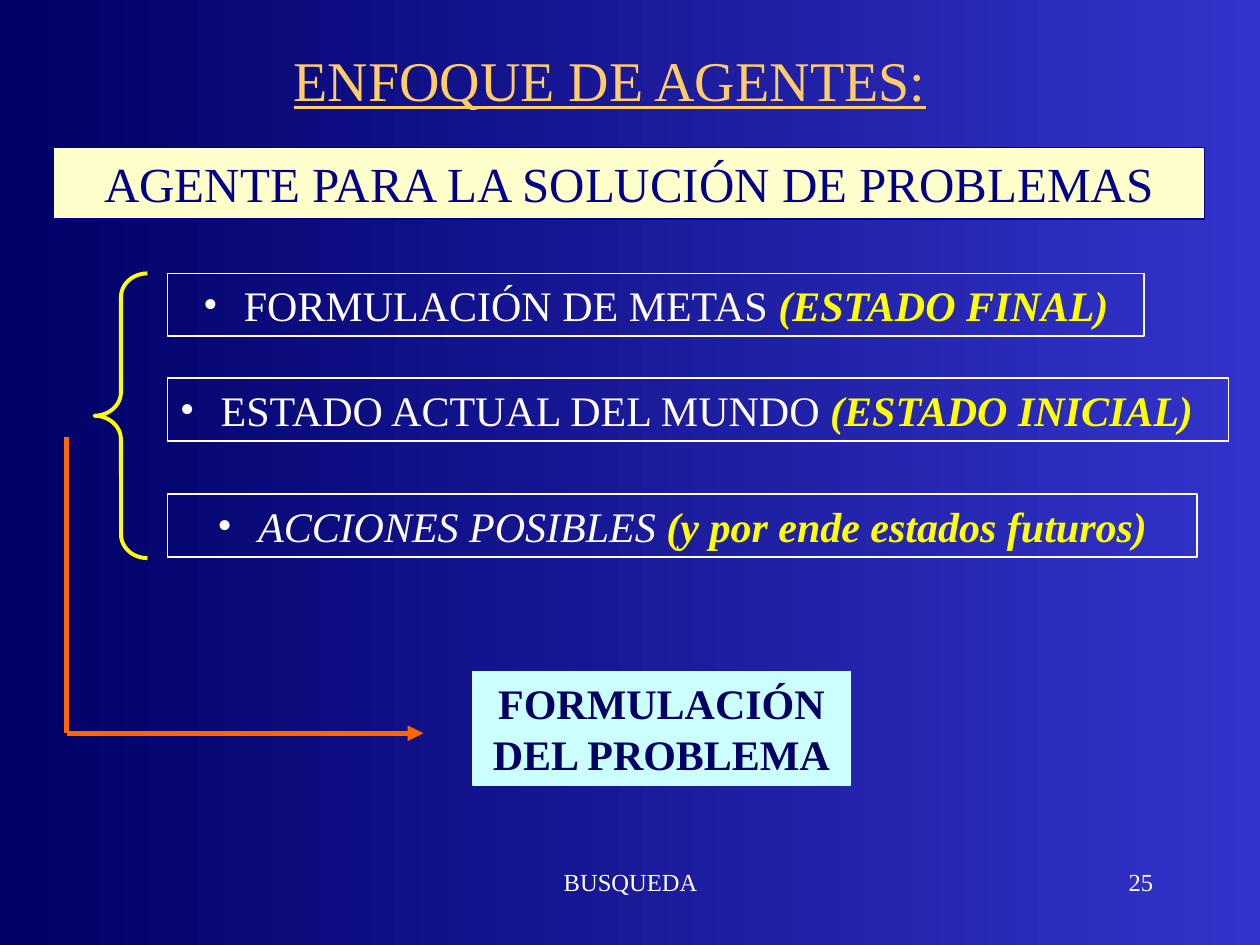
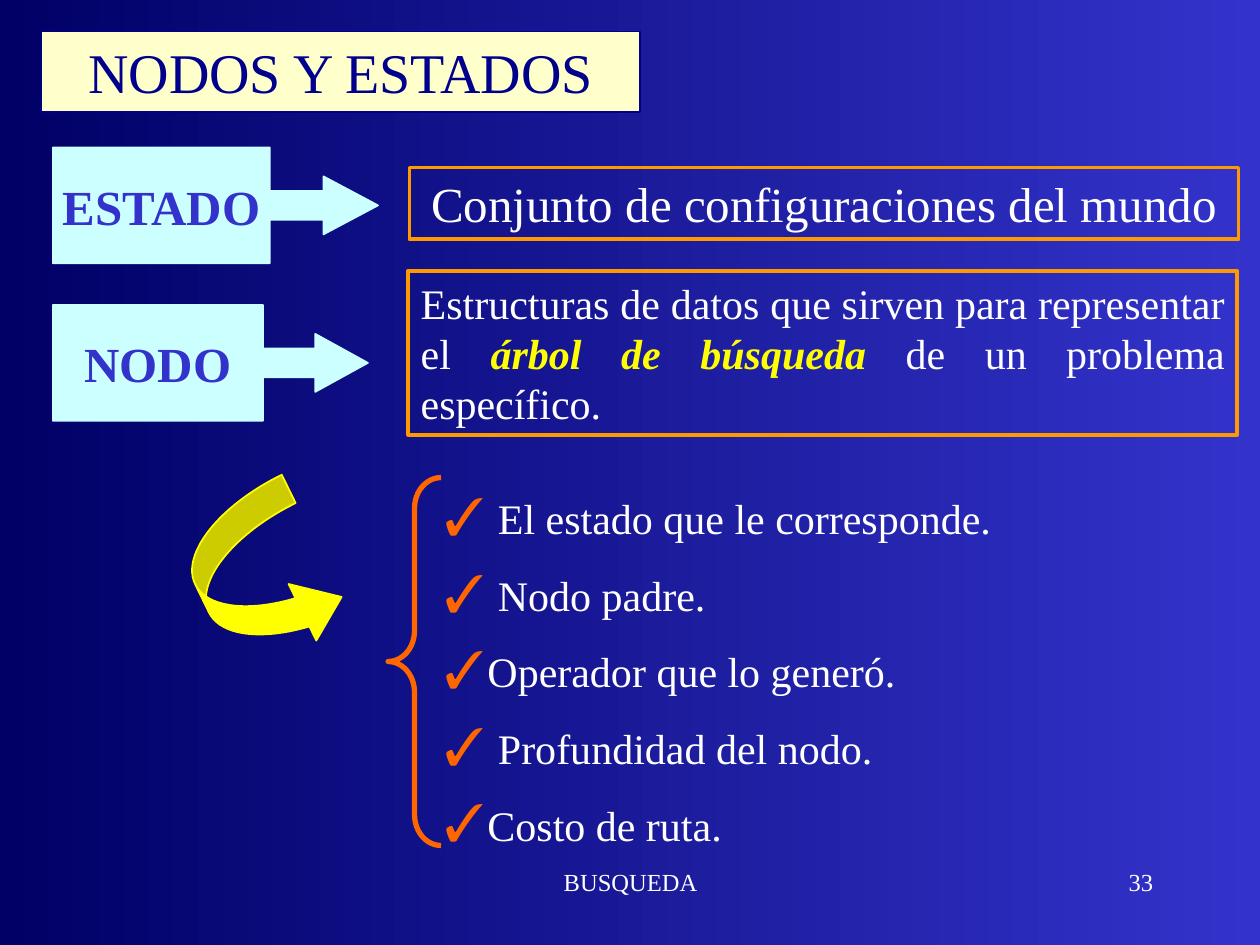
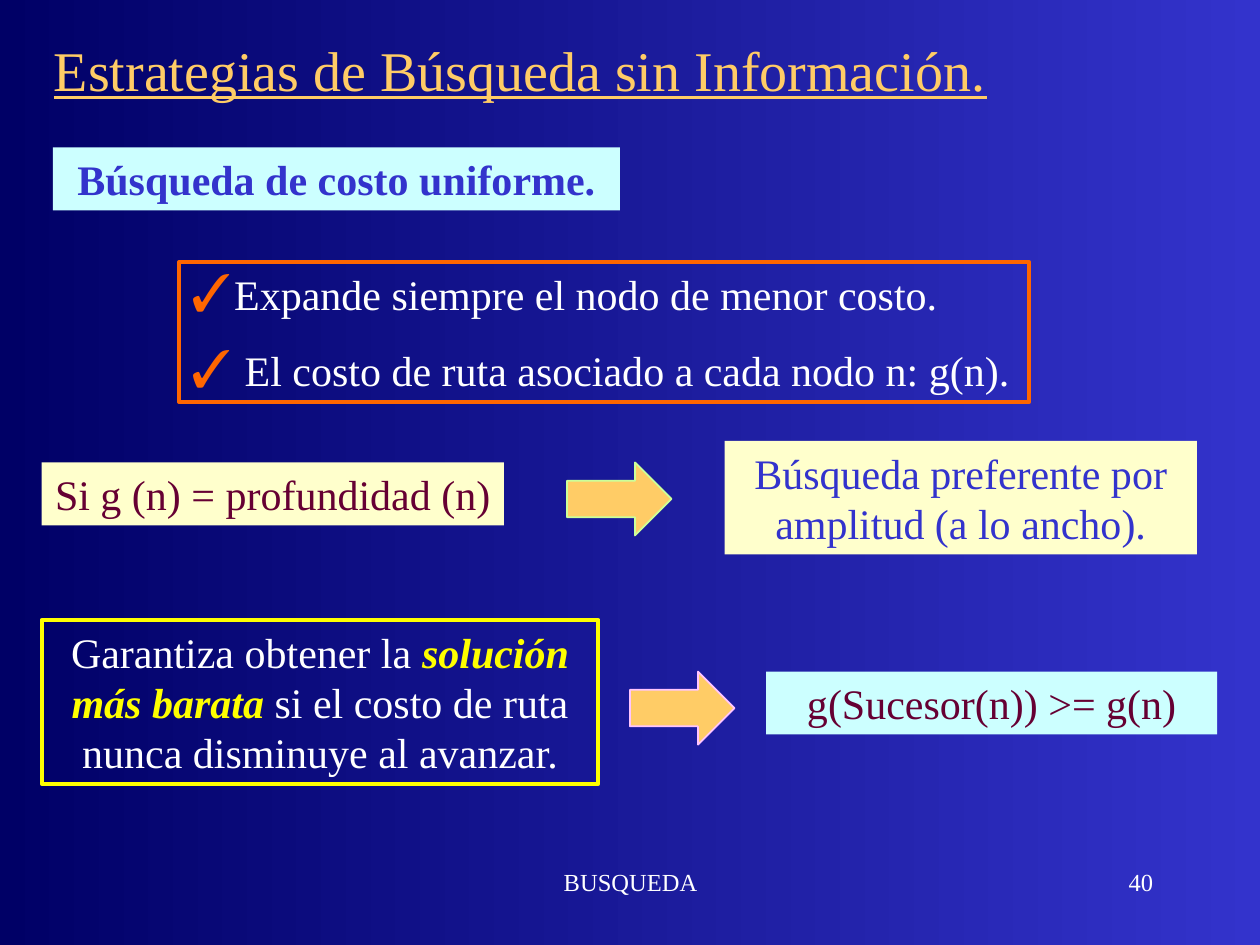
from dataclasses import dataclass
from typing import NamedTuple, Optional

from lxml.etree import SubElement
from pptx import Presentation
from pptx.dml.color import RGBColor
from pptx.enum.shapes import MSO_CONNECTOR, MSO_SHAPE
from pptx.enum.text import MSO_ANCHOR, PP_ALIGN
from pptx.oxml.ns import qn
from pptx.util import Inches, Pt

FONT = "Times New Roman"
BLUE = RGBColor(0x33, 0x33, 0xCC)
NAVY = RGBColor(0x00, 0x00, 0x66)
INK = RGBColor(0x00, 0x00, 0x8C)
CREAM = RGBColor(0xFF, 0xFF, 0xCC)
CYAN = RGBColor(0xCC, 0xFF, 0xFF)
GOLD = RGBColor(0xFF, 0xCC, 0x66)
WHITE = RGBColor(0xFF, 0xFF, 0xFF)
YELLOW = RGBColor(0xFF, 0xFF, 0x00)
ORANGE = RGBColor(0xFF, 0x66, 0x00)
AMBER = RGBColor(0xFF, 0x99, 0x00)
WINE = RGBColor(0x66, 0x00, 0x33)
LIME = RGBColor(0xCC, 0xFF, 0x99)
PINK = RGBColor(0xFF, 0xC5, 0xFF)


class Area(NamedTuple):
    left: float
    top: float
    width: float
    height: float

    def lengths(self):
        return [Inches(v) for v in self]


class Span(NamedTuple):
    text: str
    color: Optional[RGBColor] = None
    bold: bool = False
    italic: bool = False


class Bullet(NamedTuple):
    char: str
    color: RGBColor
    percent: int
    hang: float


@dataclass
class Box:
    area: Area
    paragraphs: list
    fill: Optional[RGBColor] = None
    line: Optional[RGBColor] = None
    weight: float = 1
    color: RGBColor = WHITE
    size: float = 24
    bold: bool = False
    align: PP_ALIGN = PP_ALIGN.CENTER
    bullet: Optional[Bullet] = None


DOT = Bullet("•", WHITE, 100, 0.24)
CHECK = Bullet("✓", ORANGE, 125, 0.34)


def key(text: str) -> Span:
    return Span(text, YELLOW, True, True)


def add_bullet(p, bullet: Bullet) -> None:
    pPr = p._p.get_or_add_pPr()
    pPr.set("marL", str(Inches(bullet.hang)))
    pPr.set("indent", str(-Inches(bullet.hang)))
    color = SubElement(pPr, qn("a:buClr"))
    SubElement(color, qn("a:srgbClr"), val=str(bullet.color))
    SubElement(pPr, qn("a:buSzPct"), val=str(bullet.percent * 1000))
    SubElement(pPr, qn("a:buFont"), typeface=FONT)
    SubElement(pPr, qn("a:buChar"), char=bullet.char)


def write(tf, paragraphs: list, *, size=24, color=WHITE, bold=False, underline=False,
          align=PP_ALIGN.CENTER, anchor=MSO_ANCHOR.TOP, wrap=True, bullet=None) -> None:
    tf.word_wrap = wrap
    tf.vertical_anchor = anchor
    for i, spans in enumerate(paragraphs):
        p = tf.add_paragraph() if i else tf.paragraphs[0]
        p.alignment = align
        if i:
            p.space_before = Pt(15)
        if bullet:
            add_bullet(p, bullet)
        for span in [Span(spans)] if isinstance(spans, str) else spans:
            r = p.add_run()
            r.text = span.text
            r.font.name = FONT
            r.font.size = Pt(size)
            r.font.bold = bold or span.bold
            r.font.italic = span.italic
            r.font.underline = underline
            r.font.color.rgb = span.color or color


def add_preset(s, kind: MSO_SHAPE, area: Area, *, fill=None, line=None, weight=1, adj=()):
    sp = s.shapes.add_shape(kind, *area.lengths())
    sp.shadow.inherit = False
    for i, value in enumerate(adj):
        sp.adjustments[i] = value
    if fill is None:
        sp.fill.background()
    else:
        sp.fill.solid()
        sp.fill.fore_color.rgb = fill
    if line is None:
        sp.line.fill.background()
    else:
        sp.line.color.rgb = line
        sp.line.width = Pt(weight)
    return sp


def add_box(s, box: Box) -> None:
    sp = add_preset(s, MSO_SHAPE.RECTANGLE, box.area, fill=box.fill, line=box.line,
                    weight=box.weight)
    write(sp.text_frame, box.paragraphs, size=box.size, color=box.color, bold=box.bold,
          align=box.align, bullet=box.bullet)


def add_label(s, area: Area, text: str, **style) -> None:
    write(s.shapes.add_textbox(*area.lengths()).text_frame, [text], **style)


def add_brace(s, area: Area, color: RGBColor, weight: float) -> None:
    curve = area.height / 12 / area.width
    add_preset(s, MSO_SHAPE.LEFT_BRACE, area, line=color, weight=weight, adj=(curve, 0.5))


def add_line(s, start: tuple, end: tuple, arrow: bool = False) -> None:
    c = s.shapes.add_connector(MSO_CONNECTOR.STRAIGHT, *[Inches(v) for v in start + end])
    c.line.color.rgb = ORANGE
    c.line.width = Pt(3)
    if arrow:
        SubElement(c.line._get_or_add_ln(), qn("a:tailEnd"), type="triangle")
    SubElement(c._element.spPr, qn("a:effectLst"))


def add_slide(prs, number: int):
    s = prs.slides.add_slide(prs.slide_layouts[6])
    add_label(s, Area(3.42, 6.83, 3.17, 0.5), "BUSQUEDA", size=14)
    add_label(s, Area(7.17, 6.83, 2.08, 0.5), str(number), size=14, align=PP_ALIGN.RIGHT)
    return s


def set_background(prs) -> None:
    fill = prs.slide_master.background.fill
    fill.gradient()
    fill.gradient_angle = 180
    for stop, color in zip(fill.gradient_stops, (BLUE, NAVY)):
        stop.color.rgb = color


def build_agents(prs) -> None:
    s = add_slide(prs, 25)
    add_label(s, Area(2.22, 0.31, 5.24, 0.64), "ENFOQUE DE AGENTES:", size=32, color=GOLD,
              underline=True, wrap=False)
    add_box(s, Box(Area(0.42, 1.17, 9.14, 0.57), ["AGENTE PARA LA SOLUCIÓN DE PROBLEMAS"],
                   CREAM, INK, color=INK, size=28))
    steps = [
        (2.17, 7.75, PP_ALIGN.CENTER, [Span(" FORMULACIÓN DE METAS "), key("(ESTADO FINAL)")]),
        (3, 8.42, PP_ALIGN.LEFT, [Span(" ESTADO ACTUAL DEL MUNDO "), key("(ESTADO INICIAL)")]),
        (3.92, 8.17, PP_ALIGN.CENTER, [Span(" "), Span("ACCIONES POSIBLES ", italic=True),
                                       key("(y por ende estados futuros)")]),
    ]
    for top, width, align, spans in steps:
        add_box(s, Box(Area(1.33, top, width, 0.5), [spans], line=WHITE, align=align, bullet=DOT))
    add_brace(s, Area(0.75, 2.17, 0.42, 2.26), YELLOW, 2.25)
    corner = (0.53, 5.82)
    add_line(s, (0.53, 3.47), corner)
    add_line(s, corner, (3.36, 5.82), arrow=True)
    add_box(s, Box(Area(3.75, 5.33, 3, 0.9), ["FORMULACIÓN DEL PROBLEMA"], CYAN, CYAN,
                   color=NAVY, bold=True))


def build_nodes(prs) -> None:
    s = add_slide(prs, 33)
    add_box(s, Box(Area(0.33, 0.25, 4.75, 0.64), ["NODOS Y ESTADOS"], CREAM, INK,
                   color=INK, size=32))
    for term, top, width, head in (("ESTADO", 1.17, 2.58, 0.47), ("NODO", 2.42, 2.5, 0.454)):
        sp = add_preset(s, MSO_SHAPE.RIGHT_ARROW_CALLOUT, Area(0.42, top, width, 0.92),
                        fill=CYAN, line=CYAN, adj=(0.25, 0.25, head, 0.667))
        write(sp.text_frame, [term], size=28, color=BLUE, bold=True,
              anchor=MSO_ANCHOR.MIDDLE, wrap=False)
    add_box(s, Box(Area(3.25, 1.33, 6.58, 0.57), ["Conjunto de configuraciones del mundo"],
                   line=AMBER, weight=2.25, size=28))
    add_box(s, Box(Area(3.24, 2.15, 6.58, 1.3),
                   [[Span("Estructuras de datos que sirven para representar el "),
                     key("árbol de búsqueda"), Span(" de un problema específico.")]],
                   line=AMBER, weight=2.25, align=PP_ALIGN.JUSTIFY))
    add_box(s, Box(Area(3.43, 3.86, 5.25, 2.94),
                   [" El estado que le corresponde.", " Nodo padre.", "Operador que lo generó.",
                    " Profundidad del nodo.", "Costo de ruta."],
                   align=PP_ALIGN.LEFT, bullet=CHECK))
    add_brace(s, Area(3.08, 3.79, 0.42, 2.92), ORANGE, 3)
    turn = add_preset(s, MSO_SHAPE.CURVED_RIGHT_ARROW, Area(1.58, 3.92, 1, 1.33),
                      fill=YELLOW, line=YELLOW, adj=(0.25, 0.5, 0.333))
    turn.rotation = 333.9


def build_uniform_cost(prs) -> None:
    s = add_slide(prs, 40)
    add_label(s, Area(0.33, 0.17, 8.75, 0.75), "Estrategias de Búsqueda sin Información.",
              size=32, color=GOLD, underline=True, align=PP_ALIGN.LEFT,
              anchor=MSO_ANCHOR.MIDDLE)
    boxes = [
        Box(Area(0.42, 1.17, 4.5, 0.5), ["Búsqueda de costo uniforme."], CYAN,
            color=BLUE, bold=True),
        Box(Area(1.42, 2.08, 6.75, 1.11),
            ["Expande siempre el nodo de menor costo.",
             " El costo de ruta asociado a cada nodo n: g(n)."],
            line=ORANGE, weight=2.25, align=PP_ALIGN.LEFT, bullet=CHECK),
        Box(Area(0.33, 3.67, 3.67, 0.5), ["Si g (n) = profundidad (n)"], CREAM, color=WINE),
        Box(Area(5.75, 3.5, 3.75, 0.9), ["Búsqueda preferente por amplitud (a lo ancho)."],
            CREAM, color=BLUE),
        Box(Area(0.33, 4.92, 4.42, 1.3),
            [[Span("Garantiza obtener la "), key("solución más barata"),
              Span(" si el costo de ruta nunca disminuye al avanzar.")]],
            line=YELLOW, weight=2.25),
        Box(Area(6.08, 5.33, 3.58, 0.5), ["g(Sucesor(n)) >= g(n)"], CYAN, color=WINE),
    ]
    for box in boxes:
        add_box(s, box)
    for left, top, line in ((4.5, 3.67, LIME), (5, 5.33, PINK)):
        add_preset(s, MSO_SHAPE.RIGHT_ARROW, Area(left, top, 0.83, 0.58), fill=GOLD, line=line,
                   adj=(0.5, 0.5))


def main() -> None:
    prs = Presentation()
    prs.slide_width = Inches(10)
    prs.slide_height = Inches(7.5)
    set_background(prs)
    build_agents(prs)
    build_nodes(prs)
    build_uniform_cost(prs)
    prs.save("out.pptx")


if __name__ == "__main__":
    main()
